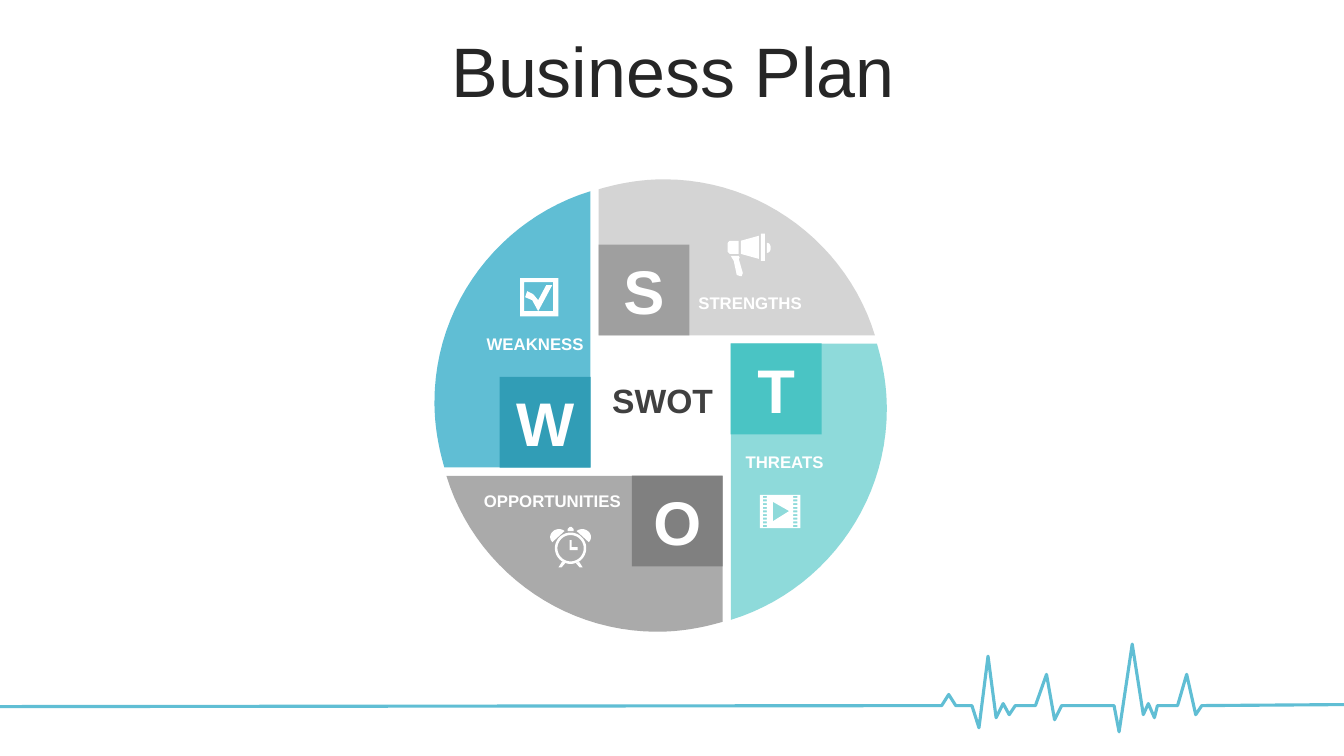
from dataclasses import dataclass
from math import cos, sin, tau

from pptx import Presentation
from pptx.dml.color import RGBColor
from pptx.enum.shapes import MSO_SHAPE
from pptx.enum.text import MSO_ANCHOR as Anchor, MSO_AUTO_SIZE as AutoSize, PP_ALIGN as Align
from pptx.util import Cm, Pt


@dataclass(frozen=True)
class Theme:
    font: str = "Arial"
    title: str = "262626"
    center: str = "404040"
    white: str = "FFFFFF"
    accent: str = "60BED4"
    title_size: int = 50
    letter_size: int = 44
    center_size: int = 24
    label_size: int = 12
    pulse_width: float = 2.25


@dataclass(frozen=True)
class Box:
    """A region of the slide, in centimetres."""
    left: float
    top: float
    width: float
    height: float

    def lengths(self):
        return [Cm(value) for value in (self.left, self.top, self.width, self.height)]


@dataclass(frozen=True)
class Quadrant:
    letter: str
    label: str
    blade: str
    square: str
    align: Align
    label_at: tuple  # left, top and width, from the wheel's centre
    icon: str
    icon_at: tuple  # left, top and width, from the wheel's centre


THEME = Theme()

# Listed in order of quarter turns, starting at the bottom
QUADRANTS = [
    Quadrant("O", "OPPORTUNITIES", "AAAAAA", "808080", Align.RIGHT,
             (-5.07, 2.02, 4.32), "clock", (-2.78, 3.06, 1.02)),
    Quadrant("T", "THREATS", "8EDADA", "4AC4C4", Align.LEFT,
             (1.89, 1.03, 3.94), "film", (2.5, 2.25, 1.02)),
    Quadrant("S", "STRENGTHS", "D4D4D4", "9F9F9F", Align.LEFT,
             (0.7, -2.96, 4.47), "megaphone", (1.69, -4.33, 1.09)),
    Quadrant("W", "WEAKNESS", THEME.accent, "319DB6", Align.RIGHT,
             (-5.83, -1.94, 4.14), "checkbox", (-3.54, -3.21, 0.96)),
]


# Geometry helpers
def rectangle(left, top, width, height):
    right, bottom = left + width, top + height
    return [(left, top), (right, top), (right, bottom), (left, bottom)]


def circle(x, y, radius, steps=48):
    angles = [tau * step / steps for step in range(steps)]
    return [(x + radius * cos(angle), y + radius * sin(angle)) for angle in angles]


def curve(start, first, second, end, steps=24):
    def blend(a, b, c, d, t):
        return a * (1 - t) ** 3 + 3 * b * t * (1 - t) ** 2 + 3 * c * t * t * (1 - t) + d * t ** 3
    return [tuple(blend(*values, step / steps) for values in zip(start, first, second, end))
            for step in range(steps + 1)]


def mirror(points, axis):
    return [(2 * axis - x, y) for x, y in points]


def quarter_turn(point, turns):
    x, y = point
    for _ in range(turns):
        x, y = y, -x
    return x, y


# Icon outlines on a grid: (grid width, contours)
def icon_outlines():
    bell = (curve((2, 15), (-1, 12), (-1, 7), (3, 4))
            + curve((3, 4), (6, 1.5), (11, 1.5), (14, 4)))
    foot = [(11.5, 34.5), (8, 40), (11, 40), (14.5, 36)]
    hands = [(19, 13), (21, 13), (21, 20), (27, 20), (27, 23), (19, 23)]
    knob = [(17, 4), (17, 2), (19, 0), (21, 0), (23, 2), (23, 4)]
    clock = [circle(20, 21, 15.5), circle(20, 21, 13), hands, knob,
             bell, mirror(bell, 20), foot, mirror(foot, 20)]

    tick = [(7, 13), (13, 16), (18, 22), (26, 7), (32, 7), (18, 33), (12, 22), (5, 19)]
    checkbox = [rectangle(0, 0, 38, 38), rectangle(4, 4, 29, 29), tick]

    holes = [rectangle(x, 1 + 3.6 * row, 4, 2) for x in (3, 33) for row in range(9)]
    film = [rectangle(0, 0, 40, 33), [(13, 7), (13, 26), (29, 16)], *holes]

    megaphone = [
        [(11, 22), (12, 24), (11, 25), (15, 39), (14, 42), (12, 42), (9, 41), (6, 27), (3, 22)],
        curve((39, 9), (44, 9), (44, 19), (39, 19)),
        [(2, 7), (11, 7), (11, 20), (2, 20), (0, 18), (0, 9)],
        [(31, 2), (31, 25), (13, 20), (13, 7)],
        rectangle(33, 0, 4, 27),
    ]
    return {"clock": (40, clock), "checkbox": (38, checkbox),
            "film": (40, film), "megaphone": (43, megaphone)}


# Drawing helpers
def fill_shape(shape, color):
    shape.shadow.inherit = False
    shape.fill.solid()
    shape.fill.fore_color.rgb = RGBColor.from_string(color)
    shape.line.fill.background()


def add_outline(slide, contours, left, top, unit=1, close=True):
    placed = [[(Cm(left + x * unit), Cm(top + y * unit)) for x, y in points]
              for points in contours]
    builder = slide.shapes.build_freeform(*placed[0][0])
    for index, points in enumerate(placed):
        if index:
            builder.move_to(*points[0])
        builder.add_line_segments(points[1:], close=close)
    return builder.convert_to_shape()


def write_text(shape, text, size, color, align=Align.CENTER, bold=True, frame={}, spacing={}):
    text_frame = shape.text_frame
    text_frame.text = text
    paragraph = text_frame.paragraphs[0]
    font = paragraph.runs[0].font
    font.color.rgb = RGBColor.from_string(color)
    formats = [(text_frame, {"word_wrap": True, **frame}),
               (paragraph, {"alignment": align, **spacing}),
               (font, {"name": THEME.font, "size": Pt(size), "bold": bold})]
    for target, values in formats:
        for name, value in values.items():
            setattr(target, name, value)


def add_label(slide, box, text, size, color, align):
    label = slide.shapes.add_textbox(*box.lengths())
    write_text(label, text, size, color, align, frame={"auto_size": AutoSize.SHAPE_TO_FIT_TEXT})


# Regions of the slide
def add_title(slide, box):
    title = slide.shapes.title
    title.left, title.top, title.width, title.height = box.lengths()
    write_text(title, "Business Plan", THEME.title_size, THEME.title, bold=False,
               frame={"vertical_anchor": Anchor.MIDDLE, "auto_size": AutoSize.NONE},
               spacing={"line_spacing": 0.8, "space_before": Pt(10)})


def add_pulse(slide, box):
    beats = [(0, 62), (936, 61), (943, 50), (950, 61), (966, 61), (973, 83), (982, 12),
             (990, 73), (997, 59), (1003, 70), (1009, 61), (1029, 61), (1040, 30),
             (1048, 75), (1055, 61), (1107, 61), (1112, 87), (1125, 0), (1136, 70),
             (1141, 59), (1147, 73), (1150, 61), (1170, 61), (1179, 30), (1188, 70),
             (1194, 61), (1335, 60)]
    pulse = add_outline(slide, [beats], box.left, box.top, box.width / beats[-1][0], close=False)
    pulse.shadow.inherit = False
    pulse.fill.background()
    pulse.line.color.rgb = RGBColor.from_string(THEME.accent)
    pulse.line.width = Pt(THEME.pulse_width)


def add_quadrant(slide, quadrant, turns, center_x, center_y, icons):
    # Blade, turned about the wheel's centre
    blade = ([(-5.4, 1.77), (1.56, 1.77)]
             + curve((1.56, 5.45), (1.05, 5.6), (0.5, 5.7), (-0.09, 5.7))
             + curve((-0.09, 5.7), (-2.58, 5.7), (-4.71, 4.03), (-5.4, 1.77)))
    turned = [quarter_turn(point, turns) for point in blade]
    fill_shape(add_outline(slide, [turned], center_x, center_y), quadrant.blade)

    # Lettered square in the blade's inner corner
    side = 2.29
    x, y = quarter_turn((0.42, 2.91), turns)
    box = Box(center_x + x - side / 2, center_y + y - side / 2, side, side)
    square = slide.shapes.add_shape(MSO_SHAPE.RECTANGLE, *box.lengths())
    fill_shape(square, quadrant.square)
    write_text(square, quadrant.letter, THEME.letter_size, THEME.white,
               frame={"vertical_anchor": Anchor.MIDDLE})

    # Label and icon
    left, top, width = quadrant.label_at
    add_label(slide, Box(center_x + left, center_y + top, width, 0.77), quadrant.label,
              THEME.label_size, THEME.white, quadrant.align)
    left, top, width = quadrant.icon_at
    grid_width, contours = icons[quadrant.icon]
    icon = add_outline(slide, contours, center_x + left, center_y + top, width / grid_width)
    fill_shape(icon, THEME.white)


def add_wheel(slide, box):
    center_x, center_y = box.left + box.width / 2, box.top + box.height / 2
    icons = icon_outlines()
    for turns, quadrant in enumerate(QUADRANTS):
        add_quadrant(slide, quadrant, turns, center_x, center_y, icons)
    add_label(slide, Box(center_x - 1.59, center_y - 0.77, 3.28, 1.27), "SWOT",
              THEME.center_size, THEME.center, Align.CENTER)


def main():
    presentation = Presentation()
    presentation.slide_width, presentation.slide_height = Cm(33.87), Cm(19.05)
    slide = presentation.slides.add_slide(presentation.slide_layouts[5])
    add_pulse(slide, Box(-0.05, 16.23, 33.92, 2.21))
    add_title(slide, Box(0.89, 0.94, 32.16, 2.01))
    add_wheel(slide, Box(10.95, 4.52, 11.4, 11.4))
    presentation.save("out.pptx")


if __name__ == "__main__":
    main()
